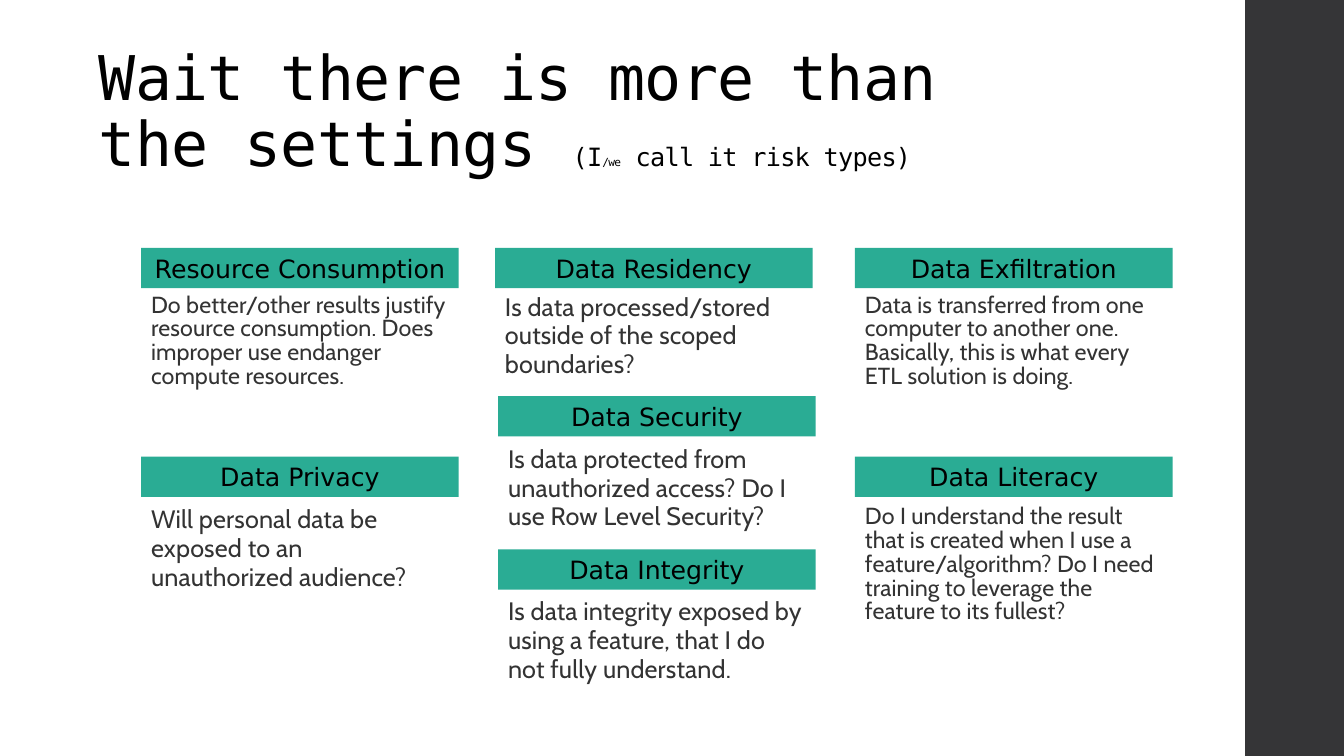
import pptx
import pptx.util
import pptx.dml.color
import pptx.enum.shapes
import pptx.enum.text

Inches = pptx.util.Inches
Pt = pptx.util.Pt
ALIGN = pptx.enum.text.PP_ALIGN
ANCHOR = pptx.enum.text.MSO_ANCHOR

WIDE, HIGH = 13.33, 7.5
CARD = 3.15
HEAD = 0.4
LEFT, MID, RIGHT = 1.4, 4.94, 8.48
LARGE = (18, 0.95)
SMALL = (16.6, 0.85)

COLORS = {"band": "353537", "head": "2AAC94", "title": "000000", "body": "333333"}
FONTS = {"title": "DejaVu Sans Mono", "head": "DejaVu Sans", "body": "Cabin"}

TITLE = [
    ("Wait there is more than\nthe settings ", 44),
    ("(I", 18),
    ("/we", 8),
    (" call it risk types)", 18),
]

RISKS = [
    (LEFT, 2.46, 0.41, 1.36, SMALL, "Resource Consumption",
     "Do better/other results justify resource consumption. Does improper use endanger compute resources."),
    (LEFT, 4.53, 0.44, 1.36, LARGE, "Data Privacy",
     "Will personal data be exposed to an unauthorized audience?"),
    (4.91, 2.46, 0.4, 1.36, LARGE, "Data Residency",
     "Is data processed/stored outside of the scoped boundaries?"),
    (MID, 3.93, 0.44, 1.04, LARGE, "Data Security",
     "Is data protected from unauthorized access? Do I use Row Level Security?"),
    (MID, 5.45, 0.43, 1.04, LARGE, "Data Integrity",
     "Is data integrity exposed by using a feature, that I do not fully understand."),
    (RIGHT, 2.46, 0.41, 1.36, SMALL, "Data Exfiltration",
     "Data is transferred from one computer to another one.\nBasically, this is what every ETL solution is doing."),
    (RIGHT, 4.53, 0.44, 1.36, SMALL, "Data Literacy",
     "Do I understand the result that is created when I use a feature/algorithm? "
     "Do I need training to leverage the feature to its fullest?"),
]


class Deck:
    def __init__(self):
        self.show = pptx.Presentation()
        self.show.slide_width = Inches(WIDE)
        self.show.slide_height = Inches(HIGH)
        self.slide = self.show.slides.add_slide(self.show.slide_layouts[6])

    def color(self, name):
        return pptx.dml.color.RGBColor.from_string(COLORS[name])

    def block(self, x, y, w, h, fill):
        shape = self.slide.shapes.add_shape(
            pptx.enum.shapes.MSO_SHAPE.RECTANGLE, Inches(x), Inches(y), Inches(w), Inches(h))
        shape.shadow.inherit = False
        shape.fill.solid()
        shape.fill.fore_color.rgb = self.color(fill)
        shape.line.fill.background()
        return shape

    def words(self, para, text, size, face, color, gap=0):
        for i, line in enumerate(text.split("\n")):
            if i:
                para.add_line_break()
            run = para.add_run()
            run.text = line
            run.font.size = Pt(size)
            run.font.name = FONTS[face]
            run.font.color.rgb = self.color(color)
            if gap:
                run._r.get_or_add_rPr().set("spc", str(round(gap * 100)))

    def box(self, x, y, w, h, space, anchor):
        frame = self.slide.shapes.add_textbox(
            Inches(x), Inches(y), Inches(w), Inches(h)).text_frame
        frame.word_wrap = True
        frame.vertical_anchor = anchor
        para = frame.paragraphs[0]
        para.line_spacing = space
        return para

    def title(self, parts):
        para = self.box(0.88, 0.4, 11.1, 1.45, 0.9, ANCHOR.MIDDLE)
        for text, size in parts:
            self.words(para, text, size, "title", "title", -0.5)

    def head(self, x, y, text):
        frame = self.block(x, y, CARD, HEAD, "head").text_frame
        frame.word_wrap = True
        frame.auto_size = pptx.enum.text.MSO_AUTO_SIZE.SHAPE_TO_FIT_TEXT
        para = frame.paragraphs[0]
        para.alignment = ALIGN.CENTER
        self.words(para, text, 18, "head", "title")

    def body(self, x, y, h, style, text):
        size, space = style
        para = self.box(x, y, CARD, h, space, ANCHOR.TOP)
        para.space_after = Pt(2)
        self.words(para, text, size, "body", "body", 0.1)


def main():
    deck = Deck()
    deck.block(12.35, 0, WIDE - 12.35, HIGH, "band")
    deck.title(TITLE)
    for x, y, drop, tall, style, name, text in RISKS:
        deck.head(x, y, name)
        deck.body(x, y + drop, tall, style, text)
    deck.show.save("out.pptx")


if __name__ == "__main__":
    main()
